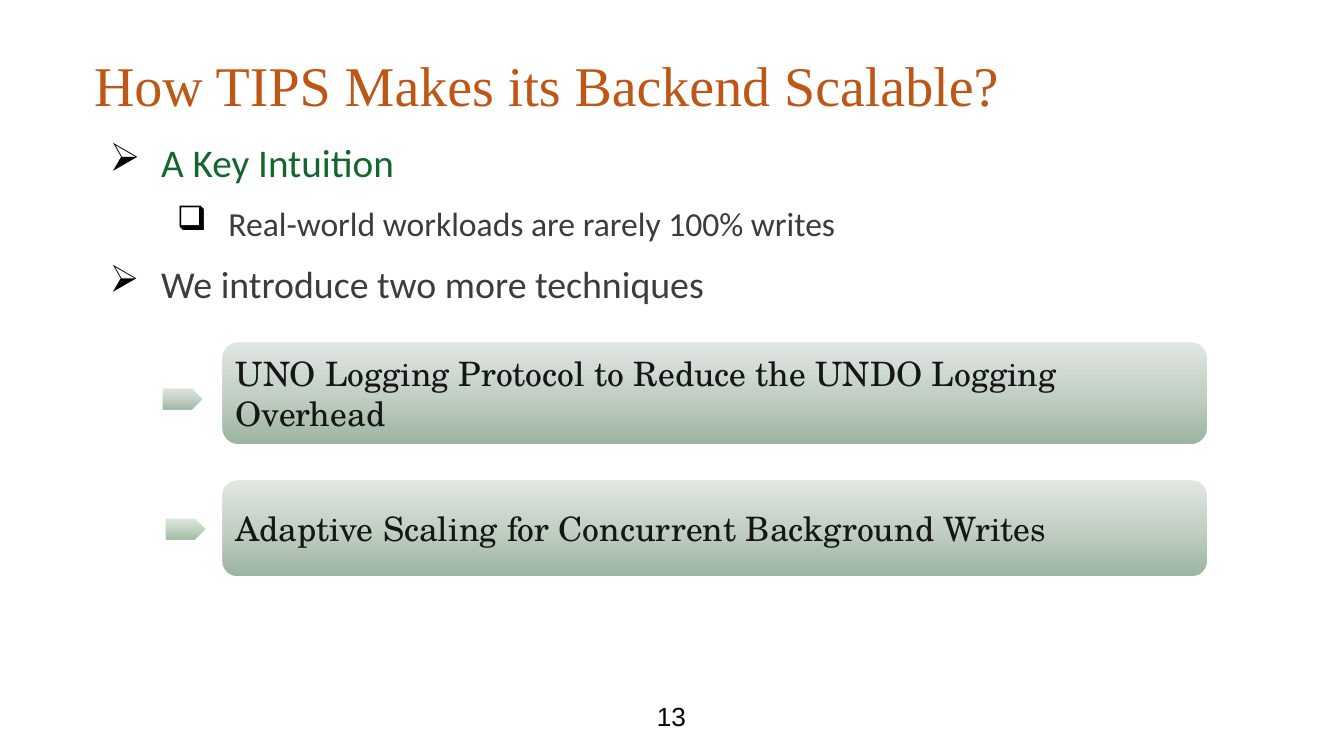
from lxml import etree
from pptx import Presentation
from pptx.dml.color import RGBColor
from pptx.enum.shapes import MSO_SHAPE
from pptx.enum.text import MSO_ANCHOR, PP_ALIGN
from pptx.oxml.ns import qn
from pptx.util import Pt

ROUNDED = MSO_SHAPE.ROUNDED_RECTANGLE
PENTAGON = MSO_SHAPE.PENTAGON
TOP, MIDDLE, BOTTOM = MSO_ANCHOR.TOP, MSO_ANCHOR.MIDDLE, MSO_ANCHOR.BOTTOM
LEFT, CENTER = PP_ALIGN.LEFT, PP_ALIGN.CENTER


def rgb(value):
    return RGBColor.from_string(value)


class Deck:
    title_font, body_font = "Times New Roman", "Calibri"
    box_font, number_font = "TeX Gyre Schola", "Arial"
    orange, green, grey = "BE5615", "14662F", "3A3C3E"
    black, ink, white = "000000", "161616", "FFFFFF"
    sage = ("9BB39F", "C3D0C5", "E2E8E3")
    leaf = ("9AB99B", "C2D3C3", "E2E9E2")
    inset = 9.6

    def __init__(self):
        self.prs = Presentation()
        self.prs.slide_width, self.prs.slide_height = Pt(960), Pt(540)
        self.s = self.prs.slides.add_slide(self.prs.slide_layouts[6])

    def run(self, p, text, size, font, color):
        r = p.add_run()
        r.text = text
        r.font.size = Pt(size)
        r.font.name = font
        r.font.color.rgb = rgb(color)

    def text_box(self, x, y, w, h, anchor=TOP):
        sp = self.s.shapes.add_textbox(Pt(x), Pt(y), Pt(w), Pt(h))
        tf = sp.text_frame
        tf.word_wrap = True
        tf.vertical_anchor = anchor
        tf.margin_left = tf.margin_right = Pt(self.inset)
        tf.margin_top = tf.margin_bottom = Pt(self.inset)
        return sp

    def title(self, text):
        sp = self.text_box(57.6, 36, 787, 57.6, BOTTOM)
        sp.fill.solid()
        sp.fill.fore_color.rgb = rgb(self.white)
        self.run(sp.text_frame.paragraphs[0], text, 40, self.title_font, self.orange)

    def bullets(self, items):
        """Add the body; each item is (level, bullet, text, size, color)."""
        tf = self.text_box(57.6, 84.24, 787, 392.4).text_frame
        for i, (level, bullet, text, size, color) in enumerate(items):
            p = tf.add_paragraph() if i else tf.paragraphs[0]
            p.level = level
            p.line_spacing = 1.15
            p.space_before = Pt(8)
            pPr = p._p.get_or_add_pPr()
            pPr.set("marL", str(Pt(48 * (level + 1))))
            pPr.set("indent", str(Pt(-36.8)))
            clr = etree.SubElement(pPr, qn("a:buClr"))
            etree.SubElement(clr, qn("a:srgbClr"), val=self.black)
            etree.SubElement(pPr, qn("a:buChar"), char=bullet)
            self.run(p, text, size, self.body_font, color)

    def page_number(self, text):
        sp = self.text_box(422, 482.4, 115.2, 57.6, MIDDLE)
        p = sp.text_frame.paragraphs[0]
        p.alignment = CENTER
        self.run(p, text, 18.7, self.number_font, self.black)

    def gradient_shape(self, kind, x, y, w, h, colors):
        """Add a shape shaded upwards from the first colour to the last."""
        sp = self.s.shapes.add_shape(kind, Pt(x), Pt(y), Pt(w), Pt(h))
        sp.shadow.inherit = False
        sp.line.color.rgb = rgb(self.white)
        sp.line.width = Pt(2)
        sp.fill.gradient()
        sp.fill.gradient_angle = 90
        stops = sp._element.spPr.find(qn("a:gradFill")).find(qn("a:gsLst"))
        for gs in list(stops):
            stops.remove(gs)
        for i, color in enumerate(colors):
            gs = etree.SubElement(stops, qn("a:gs"), pos=str(i * 50000))
            etree.SubElement(gs, qn("a:srgbClr"), val=color)
        return sp

    def technique(self, text, y, h, arrow_x, arrow_y, arrow_colors):
        """Add a rounded box with its text and the arrow that points at it."""
        sp = self.gradient_shape(ROUNDED, 157.7, y, 705.6, h, self.sage)
        tf = sp.text_frame
        tf.word_wrap = True
        tf.vertical_anchor = MIDDLE
        p = tf.paragraphs[0]
        p.alignment = LEFT
        self.run(p, text, 24, self.box_font, self.ink)
        self.gradient_shape(PENTAGON, arrow_x, arrow_y, 31, 17.3, arrow_colors)


def main():
    d = Deck()
    d.title("How TIPS Makes its Backend Scalable?")
    d.bullets([
        (0, "➢", "A Key Intuition", 28, d.green),
        (1, "❑", "Real-world workloads are rarely 100% writes", 24, d.grey),
        (0, "➢", "We introduce two more techniques", 27, d.grey),
    ])
    d.page_number("13")
    d.technique("UNO Logging Protocol to Reduce the UNDO Logging Overhead",
                243.4, 74.9, 115.2, 276.5, d.sage)
    d.technique("Adaptive Scaling for Concurrent Background Writes",
                342, 70.6, 117.4, 369.4, d.leaf)
    d.prs.save("out.pptx")


if __name__ == "__main__":
    main()
